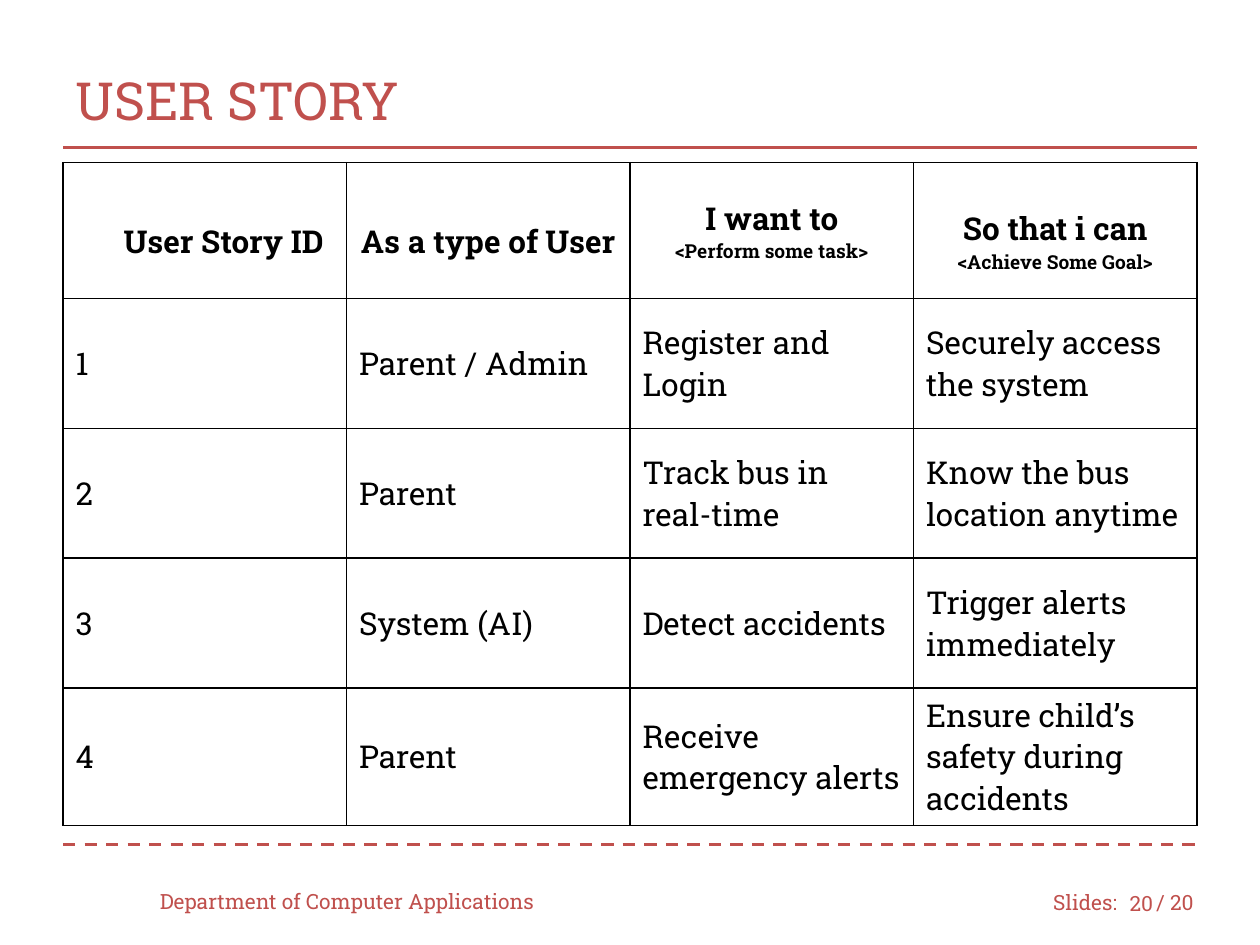
from lxml import etree
from pptx import Presentation
from pptx.dml.color import RGBColor
from pptx.enum.dml import MSO_LINE
from pptx.enum.shapes import MSO_CONNECTOR
from pptx.enum.text import MSO_ANCHOR, PP_ALIGN
from pptx.oxml.ns import qn
from pptx.util import Inches, Pt

MIDDLE = MSO_ANCHOR.MIDDLE
LEFT, CENTER, RIGHT = PP_ALIGN.LEFT, PP_ALIGN.CENTER, PP_ALIGN.RIGHT
STRAIGHT = MSO_CONNECTOR.STRAIGHT
DASH = MSO_LINE.DASH

FONT = "Roboto Slab"
COLORS = {"red": "C0504D", "black": "000000"}

TITLE = "USER STORY"
HEADS = [
    ("User Story ID", None, 1.5),
    ("As a type of User", None, 1.5),
    ("I want to", "<Perform some task>", 1),
    ("So that i can", "<Achieve Some Goal>", 1.5),
]
STORIES = [
    ("1", "Parent / Admin", "Register and Login", "Securely access the system"),
    ("2", "Parent", "Track bus in real-time", "Know the bus location anytime"),
    ("3", "System (AI)", "Detect accidents", "Trigger alerts immediately"),
    ("4", "Parent", "Receive emergency alerts", "Ensure child’s safety during accidents"),
]
FOOTER = [
    ("Department of Computer Applications", 1.17, 6.95, 3.33, LEFT),
    ("Slides:", 8.26, 6.96, 0.75, LEFT),
    ("20", 8.83, 6.97, 0.42, RIGHT),
    ("/ 20", 9.08, 6.96, 0.58, LEFT),
]
RULES = [(1.17, None), (6.7, DASH)]
EDGE, WIDTH = 0.5, 9
TOP, HEAD, ROW = 1.29, 1.08, 1.03


def style(para, size, color, align=LEFT, bold=False):
    para.alignment = align
    for run in para.runs:
        font = run.font
        font.name = FONT
        font.size = Pt(size)
        font.bold = bold
        font.color.rgb = RGBColor.from_string(COLORS[color])


def border(cell):
    props = cell._tc.get_or_add_tcPr()
    for side in ("lnL", "lnR", "lnT", "lnB"):
        line = etree.SubElement(props, qn("a:" + side), w=str(Pt(1)))
        fill = etree.SubElement(line, qn("a:solidFill"))
        etree.SubElement(fill, qn("a:srgbClr"), val=COLORS["black"])


def add_rule(slide, y, dash):
    line = slide.shapes.add_connector(
        STRAIGHT, Inches(EDGE), Inches(y), Inches(EDGE + WIDTH), Inches(y))
    line.line.color.rgb = RGBColor.from_string(COLORS["red"])
    line.line.width = Pt(1.75)
    if dash:
        line.line.dash_style = dash
    etree.SubElement(line._element.spPr, qn("a:effectLst"))


def add_note(slide, text, x, y, width, align):
    box = slide.shapes.add_textbox(Inches(x), Inches(y), Inches(width), Inches(0.4))
    frame = box.text_frame
    frame.word_wrap = True
    frame.vertical_anchor = MIDDLE
    frame.text = text
    style(frame.paragraphs[0], 12, "red", align)


def add_table(slide):
    count = len(STORIES) + 1
    table = slide.shapes.add_table(
        count, len(HEADS), Inches(EDGE), Inches(TOP),
        Inches(WIDTH), Inches(HEAD + ROW * len(STORIES))).table
    for i, row in enumerate(table.rows):
        row.height = Inches(ROW if i else HEAD)
    for cell in table.iter_cells():
        border(cell)
        cell.fill.background()
        cell.vertical_anchor = MIDDLE
    for col, (head, hint, space) in enumerate(HEADS):
        frame = table.cell(0, col).text_frame
        frame.text = head
        para = frame.paragraphs[0]
        para.line_spacing = space
        style(para, 18, "black", CENTER, True)
        if hint:
            para = frame.add_paragraph()
            para.text = hint
            style(para, 11, "black", CENTER, True)
    table.cell(0, 0).margin_left = Inches(0.4)
    for i, story in enumerate(STORIES, 1):
        for col, text in enumerate(story):
            frame = table.cell(i, col).text_frame
            frame.text = text
            style(frame.paragraphs[0], 18, "black")


def main():
    deck = Presentation()
    deck.slide_width, deck.slide_height = Inches(10), Inches(7.5)
    slide = deck.slides.add_slide(deck.slide_layouts[5])
    for rule in RULES:
        add_rule(slide, *rule)
    title = slide.shapes.title
    title.left, title.top = Inches(EDGE), Inches(0.33)
    title.width, title.height = Inches(WIDTH), Inches(0.92)
    title.text_frame.text = TITLE
    title.text_frame.vertical_anchor = MIDDLE
    style(title.text_frame.paragraphs[0], 30, "red")
    add_table(slide)
    for note in FOOTER:
        add_note(slide, *note)
    deck.save("out.pptx")


if __name__ == "__main__":
    main()
